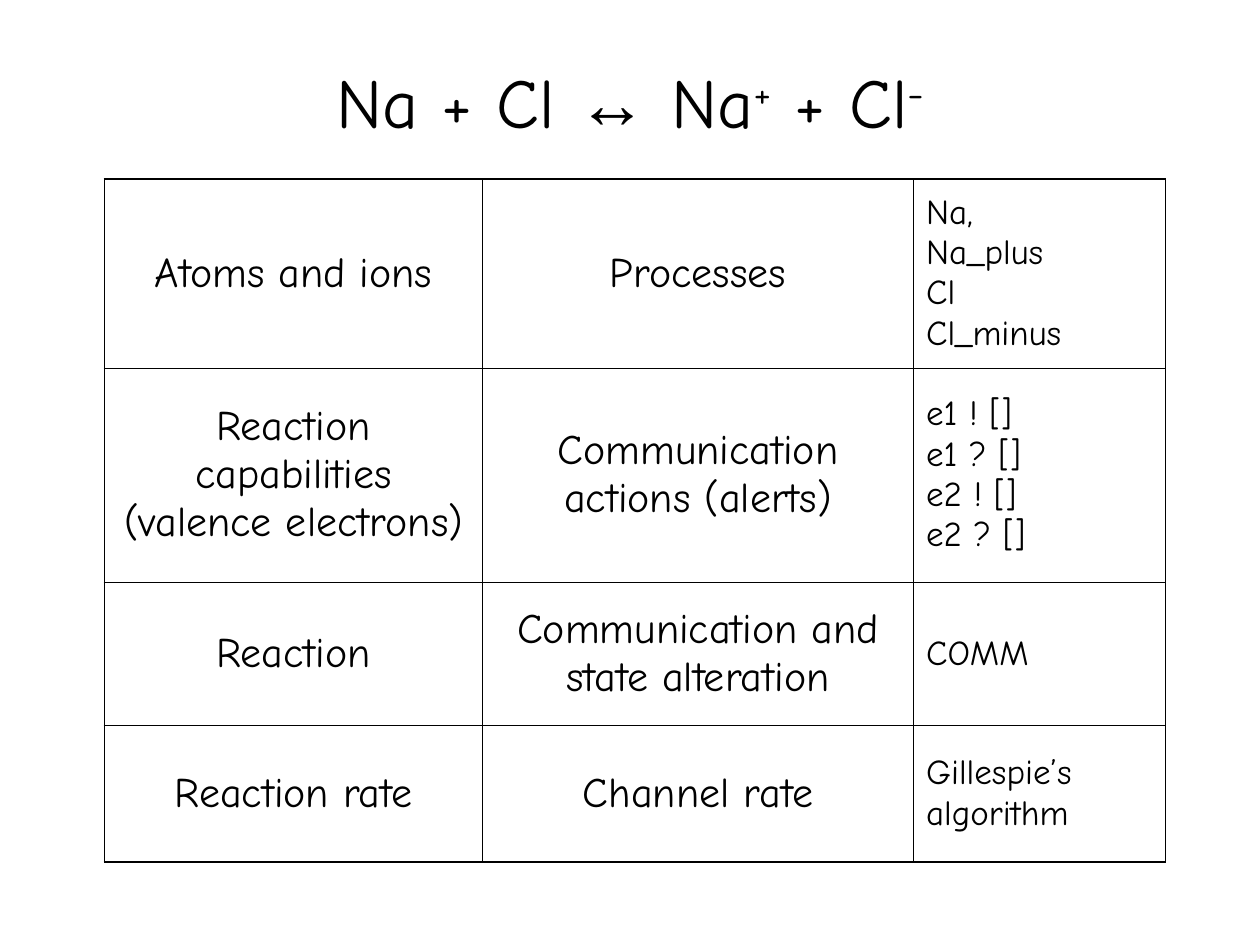
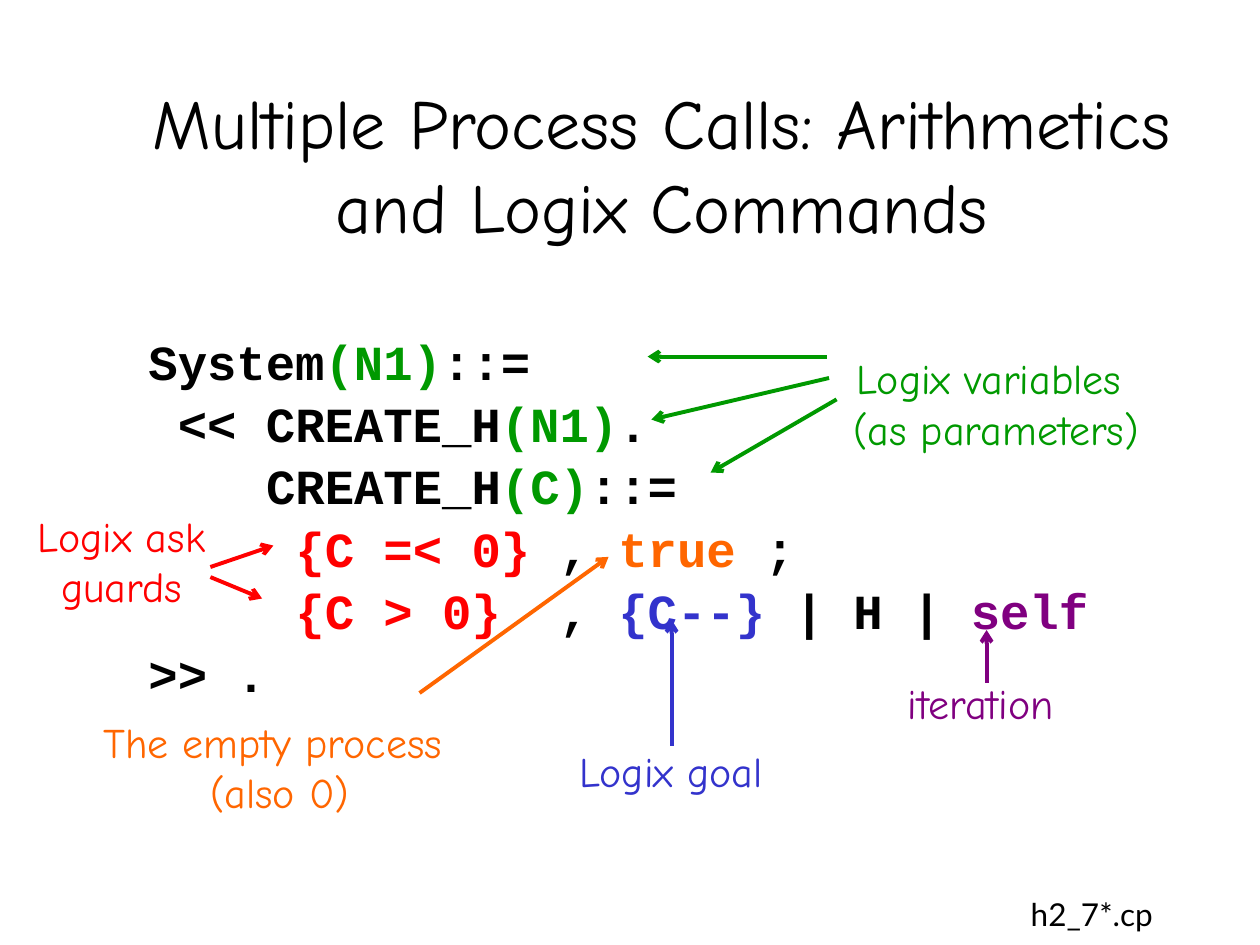
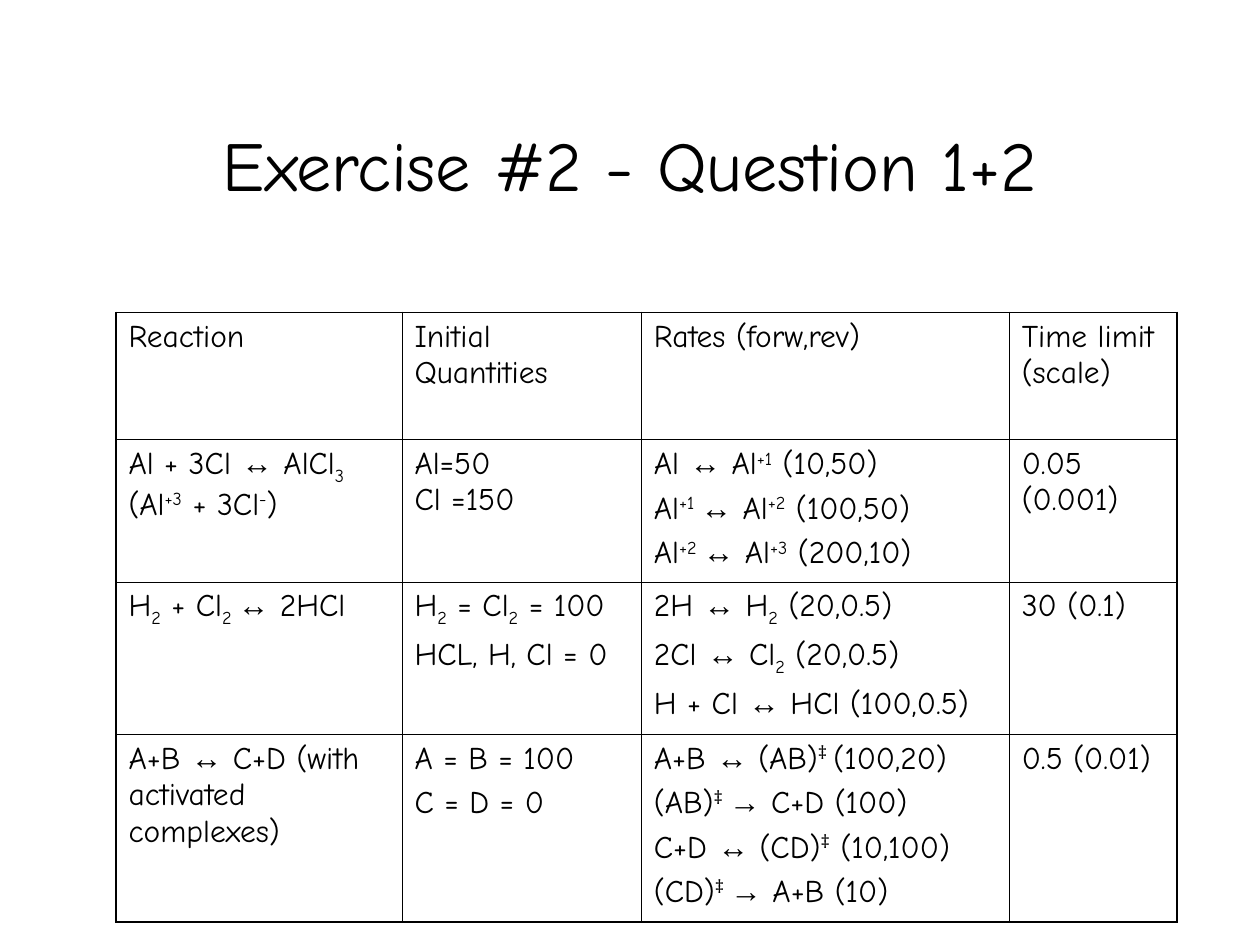
from dataclasses import dataclass
from itertools import groupby
from typing import NamedTuple, Sequence

from lxml import etree
from pptx import Presentation
from pptx.dml.color import RGBColor
from pptx.enum.shapes import MSO_CONNECTOR
from pptx.enum.text import MSO_ANCHOR, MSO_AUTO_SIZE, PP_ALIGN
from pptx.oxml.ns import qn
from pptx.util import Inches, Pt

LEFT, CENTER = PP_ALIGN.LEFT, PP_ALIGN.CENTER
TOP, MIDDLE = MSO_ANCHOR.TOP, MSO_ANCHOR.MIDDLE
STRAIGHT = MSO_CONNECTOR.STRAIGHT
NO_AUTOFIT = MSO_AUTO_SIZE.NONE

COLORS = {
    "text": "000000",
    "variable": "009900",
    "guard": "FF0000",
    "empty": "FF6600",
    "goal": "3333CC",
    "iteration": "800080",
}
MAIN_FONT, SYMBOL_FONT, CODE_FONT, FILE_FONT = "Comic Neue", "Arial", "Courier New", "Lato"
TITLE_ONLY = 5
SYMBOLS = "↔→"
SHIFTS = {"^": 30000, "~": -25000}  # ^superscript^ and ~subscript~
OUTER_BORDER, INNER_BORDER = Pt(1.08), Pt(0.45)
CODE_CHARACTER = 0.6 * Pt(28)  # advance of the code font


class Run(NamedTuple):
    text: str
    color: str = ""
    font: str = ""
    baseline: int = 0


class Line(NamedTuple):
    runs: Sequence[Run]
    indent: int = 0  # in code characters
    space_before: float = 0


@dataclass
class Label:
    text: str
    box: tuple[float, float, float, float]
    color: str
    align: PP_ALIGN = CENTER
    anchor: MSO_ANCHOR = TOP
    wrap: bool = False
    size: float = 24
    font: str = MAIN_FONT


@dataclass
class Arrow:
    start: tuple[float, float]
    end: tuple[float, float]
    color: str


@dataclass
class CellStyle:
    size: float
    space_before: float
    align: PP_ALIGN = LEFT
    anchor: MSO_ANCHOR = TOP


# Text
def formula(markup: str) -> list[Run]:
    """Split marked-up text into runs by font and baseline shift."""
    characters, baseline = [], 0
    for character in markup:
        if character in SHIFTS:
            baseline = 0 if baseline else SHIFTS[character]
        else:
            font = SYMBOL_FONT if character in SYMBOLS else ""
            characters.append((character, font, baseline))
    return [
        Run("".join(item[0] for item in group), font=font, baseline=shift)
        for (font, shift), group in groupby(characters, key=lambda item: item[1:])
    ]


def write_text(frame, lines, *, size, font=MAIN_FONT, color="text", bold=False,
               align=LEFT, space_before=0.0) -> None:
    for index, line in enumerate(lines):
        if isinstance(line, str):
            line = Line(formula(line), space_before=space_before)
        paragraph = frame.add_paragraph() if index else frame.paragraphs[0]
        paragraph.alignment = align
        paragraph.space_before = Pt(line.space_before)
        if line.indent:
            properties = paragraph._p.get_or_add_pPr()
            properties.set("marL", str(round(line.indent * CODE_CHARACTER)))
            properties.set("indent", "0")
        for piece in line.runs:
            for part, text in enumerate(piece.text.split("\n")):
                if part:
                    paragraph.add_line_break()
                if not text:
                    continue
                run = paragraph.add_run()
                run.text = text
                run.font.name = piece.font or font
                run.font.size = Pt(size)
                run.font.bold = bold
                run.font.color.rgb = RGBColor.from_string(COLORS[piece.color or color])
                if piece.baseline:
                    run._r.get_or_add_rPr().set("baseline", str(piece.baseline))


def add_text(slide, lines, box, *, anchor=TOP, wrap=True, **text_format) -> None:
    shape = slide.shapes.add_textbox(*map(Inches, box))
    frame = shape.text_frame
    frame.word_wrap = wrap
    frame.auto_size = NO_AUTOFIT
    frame.vertical_anchor = anchor
    write_text(frame, lines, **text_format)


def add_titled_slide(presentation, title: str, top: float, width: float = 8.5):
    slide = presentation.slides.add_slide(presentation.slide_layouts[TITLE_ONLY])
    shape = slide.shapes.title
    shape.left, shape.top = Inches(0.75), Inches(top)
    shape.width, shape.height = Inches(width), Inches(1.25)
    frame = shape.text_frame
    frame.auto_size = NO_AUTOFIT
    frame.vertical_anchor = MIDDLE
    write_text(frame, [title], size=40, align=CENTER)
    return slide


# Arrows and tables
def add_arrow(slide, arrow: Arrow) -> None:
    points = map(Inches, (*arrow.start, *arrow.end))
    connector = slide.shapes.add_connector(STRAIGHT, *points)
    connector.line.color.rgb = RGBColor.from_string(COLORS[arrow.color])
    connector.line.width = Pt(2.25)
    etree.SubElement(connector.line._get_or_add_ln(), qn("a:tailEnd"), type="arrow")
    etree.SubElement(connector._element.spPr, qn("a:effectLst"))


def set_borders(cell, outer_sides: dict[str, bool]) -> None:
    properties = cell._tc.get_or_add_tcPr()
    for index, (side, outer) in enumerate(outer_sides.items()):
        width = OUTER_BORDER if outer else INNER_BORDER
        border = etree.Element(qn(f"a:ln{side}"), w=str(int(width)))
        fill = etree.SubElement(border, qn("a:solidFill"))
        etree.SubElement(fill, qn("a:srgbClr"), val=COLORS["text"])
        properties.insert(index, border)


def add_grid(slide, rows, origin, widths, heights, styles: Sequence[CellStyle]) -> None:
    size = (sum(widths), sum(heights))
    frame = slide.shapes.add_table(len(rows), len(widths), *map(Inches, origin + size))
    table = frame.table
    table.first_row = table.horz_banding = False
    for column, width in zip(table.columns, widths):
        column.width = Inches(width)
    for row, height in zip(table.rows, heights):
        row.height = Inches(height)
    last_row, last_column = len(rows) - 1, len(widths) - 1
    for row_index, row in enumerate(rows):
        for column_index, (lines, style) in enumerate(zip(row, styles)):
            cell = table.cell(row_index, column_index)
            cell.fill.background()
            cell.vertical_anchor = style.anchor
            cell.margin_left = cell.margin_right = Inches(0.1)
            cell.margin_top = cell.margin_bottom = Inches(0.05)
            set_borders(cell, {
                "L": column_index == 0,
                "R": column_index == last_column,
                "T": row_index == 0,
                "B": row_index == last_row,
            })
            write_text(cell.text_frame, lines, size=style.size, align=style.align,
                       space_before=style.space_before)


# Slide 1: chemistry mapped to processes
MAPPING = [
    [["Atoms and ions"], ["Processes"], ["Na, \nNa_plus\nCl\nCl_minus"]],
    [["Reaction capabilities (valence electrons)"], ["Communication actions (alerts)"],
     ["e1 ! []\ne1 ? []\ne2 ! []\ne2 ? []"]],
    [["Reaction"], ["Communication and state alteration"], ["COMM"]],
    [["Reaction rate"], ["Channel rate"], ["Gillespie’s algorithm"]],
]


def build_mapping_slide(presentation) -> None:
    slide = add_titled_slide(presentation, "Na + Cl ↔ Na^+^ + Cl^-^", 0.17)
    concept = CellStyle(24, 6, CENTER, MIDDLE)
    code = CellStyle(20, 5, LEFT, MIDDLE)
    add_grid(slide, MAPPING, (0.83, 1.42), (3, 3.42, 2), (1.5, 1.7, 1.14, 1.08),
             (concept, concept, code))


# Slide 2: annotated program
PROGRAM = [
    Line([Run("System"), Run("(N1)", "variable"), Run("::=")], 0, 7),
    Line([Run("<< CREATE_H"), Run("(N1)", "variable"), Run(".")], 1, 2),
    Line([Run("CREATE_H"), Run("(C)", "variable"), Run("::=")], 4, 2),
    Line([Run("{C =< 0}", "guard"), Run(" , "), Run("true", "empty"), Run(" ;")], 5, 2),
    Line([Run("{C > 0}", "guard"), Run("  , "), Run("{C--}", "goal"), Run(" | H | "),
          Run("self", "iteration")], 5, 2),
    Line([Run(">> .")], 0, 2),
]
LABELS = [
    Label("h2_7*.cp", (7.33, 7, 2.67, 0.5), "text", anchor=MIDDLE, size=18, font=FILE_FONT),
    Label("Logix goal", (4.5, 5.83, 1.67, 0.58), "goal", align=LEFT, anchor=MIDDLE),
    Label("Logix variables \n(as parameters)", (6.31, 2.75, 3.19, 0.9), "variable", wrap=True),
    Label("iteration", (7.1, 5.33, 1.37, 0.5), "iteration"),
    Label("Logix ask guards", (-0.17, 4, 2.27, 0.9), "guard", wrap=True),
    Label("The empty process\n (also 0)", (0.58, 5.67, 3.17, 0.83), "empty", anchor=MIDDLE),
]
ARROWS = [
    Arrow((6.58, 3), (5.17, 3.33), "variable"),
    Arrow((6.56, 2.83), (5.14, 2.83), "variable"),
    Arrow((6.64, 3.17), (5.64, 3.75), "variable"),
    Arrow((7.83, 5.42), (7.83, 5), "iteration"),
    Arrow((1.67, 4.5), (2.17, 4.33), "guard"),
    Arrow((1.67, 4.58), (2.08, 4.75), "guard"),
    Arrow((5.33, 5.92), (5.33, 4.92), "goal"),
    Arrow((3.33, 5.5), (4.83, 4.42), "empty"),
]


def build_program_slide(presentation) -> None:
    title = "Multiple Process Calls: Arithmetics and Logix Commands"
    slide = add_titled_slide(presentation, title, 0.67, 9)
    add_text(slide, PROGRAM, (1.08, 2.58, 8.75, 4.5), size=28, font=CODE_FONT, bold=True)
    for label in LABELS:
        add_text(slide, [label.text], label.box, anchor=label.anchor, wrap=label.wrap,
                 size=label.size, font=label.font, color=label.color, align=label.align)
    for arrow in ARROWS:
        add_arrow(slide, arrow)


# Slide 3: exercise table
EXERCISE = [
    [["Reaction"], ["Initial Quantities"], ["Rates (forw,rev)"], ["Time limit (scale)"]],
    [["Al + 3Cl ↔ AlCl~3 ~\n(Al^+3^ + 3Cl^-^)"],
     ["Al=50 \nCl =150"],
     ["Al ↔ Al^+1^ (10,50)", "Al^+1 ^↔ Al^+2^ (100,50)", "Al^+2 ^↔ Al^+3^ (200,10)"],
     ["0.05 (0.001)"]],
    [["H~2~ + Cl~2 ~↔ 2HCl"],
     ["H~2~ = Cl~2~ = 100", "HCL, H, Cl = 0"],
     ["2H ↔ H~2~ (20,0.5)", "2Cl ↔ Cl~2~ (20,0.5)", "H + Cl ↔ HCl (100,0.5)"],
     ["30 (0.1)"]],
    [["A+B ↔ C+D (with activated complexes)"],
     ["A = B = 100", "C = D = 0"],
     ["A+B ↔ (AB)^‡ ^(100,20)", "(AB)^‡ ^→ C+D (100)",
      "C+D ↔ (CD)^‡^ (10,100)", "(CD)^‡ ^→ A+B (10)"],
     ["0.5 (0.01)"]],
]


def build_exercise_slide(presentation) -> None:
    slide = add_titled_slide(presentation, "Exercise #2 - Question 1+2", 0.67)
    add_grid(slide, EXERCISE, (0.92, 2.48), (2.27, 1.9, 2.92, 1.33),
             (1.01, 1.13, 1.21, 1.49), [CellStyle(18, 4.5)] * 4)


def main() -> None:
    presentation = Presentation()
    presentation.slide_width, presentation.slide_height = Inches(10), Inches(7.5)
    build_mapping_slide(presentation)
    build_program_slide(presentation)
    build_exercise_slide(presentation)
    presentation.save("out.pptx")


if __name__ == "__main__":
    main()
